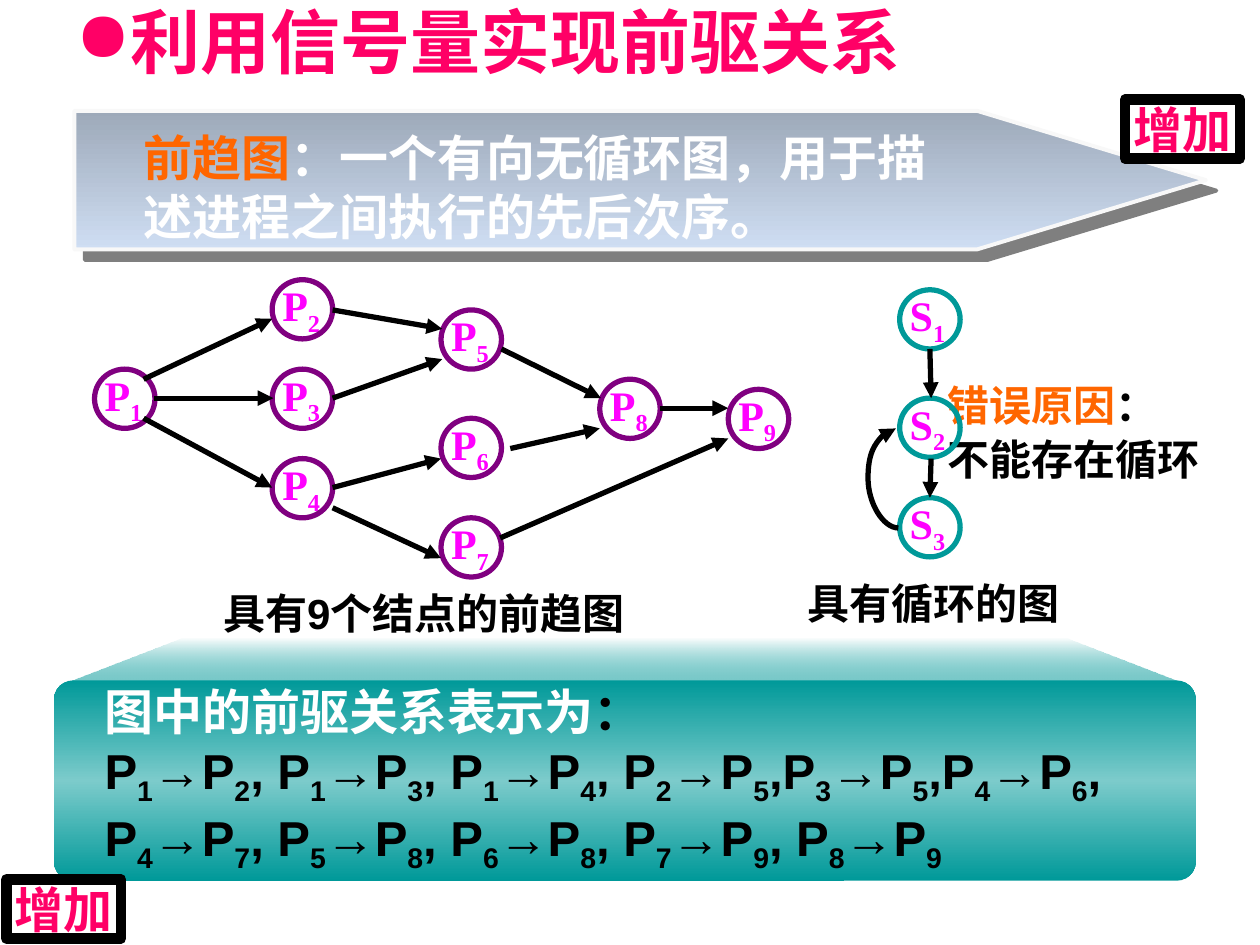
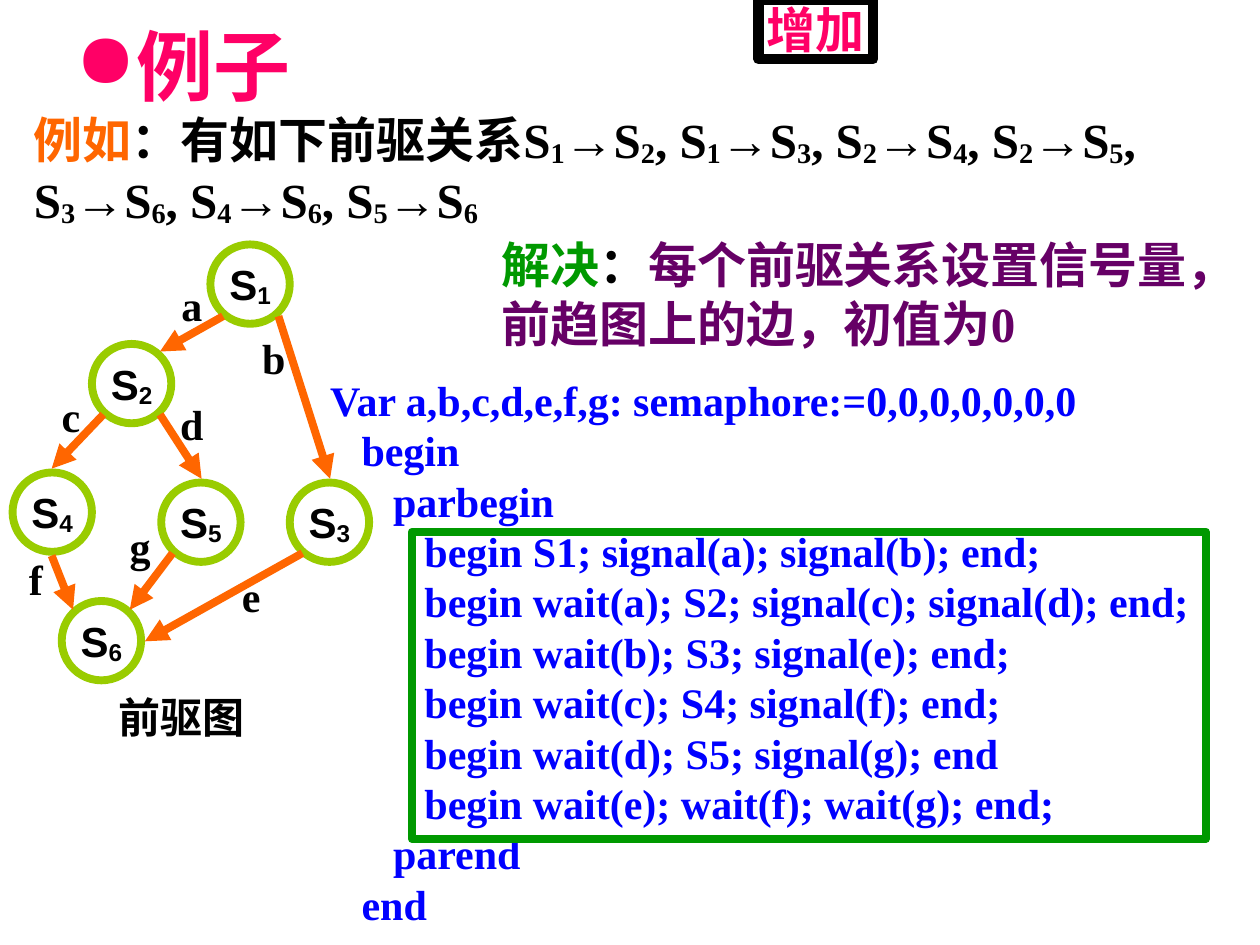
from dataclasses import dataclass

from lxml import etree
from pptx import Presentation
from pptx.dml.color import RGBColor
from pptx.enum.shapes import MSO_CONNECTOR as Connector, MSO_SHAPE as Shape
from pptx.enum.text import MSO_ANCHOR as Anchor, PP_ALIGN as Align
from pptx.oxml.ns import qn
from pptx.util import Inches, Pt


@dataclass(frozen=True)
class Theme:
    pink: str = "FF0066"
    orange: str = "FF6600"
    magenta: str = "FF00FF"
    purple: str = "800080"
    plum: str = "660066"
    teal: str = "009999"
    lime: str = "99CC00"
    green: str = "009900"
    blue: str = "0000FF"
    black: str = "000000"
    white: str = "FFFFFF"
    banner_edge: str = "F8F8F8"
    sans: str = "Arial"
    serif: str = "Times New Roman"
    badge_font: str = "Montserrat"
    heading: int = 28
    body: int = 24
    low_subscript: int = -25
    high_subscript: int = -10


THEME = Theme()


def add_element(parent, tag, **attributes):
    return etree.SubElement(parent, qn(tag), {key: str(value) for key, value in attributes.items()})


def add_colour(parent, colour, alpha=100):
    element = add_element(parent, "a:srgbClr", val=colour)
    if alpha < 100:
        add_element(element, "a:alpha", val=alpha * 1000)


def add_runs(paragraph, text, colour, baseline):
    """Add text in which the character after each underscore is a subscript."""
    first, *rest = text.split("_")
    pieces = [(first, False)]
    for part in rest:
        pieces += [(part[0], True), (part[1:], False)]
    for piece, is_subscript in pieces:
        if not piece:
            continue
        run = paragraph.add_run()
        run.text = piece
        run.font.color.rgb = RGBColor.from_string(colour)
        if is_subscript:
            run.font._element.set("baseline", str(baseline * 1000))


def write(shape, paragraphs, size, font, baseline=THEME.low_subscript, align=Align.LEFT,
          anchor=Anchor.TOP, wrap=True, line_height=None, space_before=0):
    """Fill a shape; each paragraph is a list of (text, colour) pairs."""
    frame = shape.text_frame
    frame.word_wrap = wrap
    frame.vertical_anchor = anchor
    frame.margin_left = frame.margin_right = frame.margin_top = frame.margin_bottom = 0
    for index, parts in enumerate(paragraphs):
        paragraph = frame.add_paragraph() if index else frame.paragraphs[0]
        paragraph.alignment = align
        if line_height:
            paragraph.line_spacing = Pt(line_height)
        if index and space_before:
            paragraph.space_before = Pt(space_before)
        paragraph.font.size = Pt(size)
        paragraph.font.name = font
        paragraph.font.bold = True
        for text, colour in parts:
            add_runs(paragraph, text, colour, baseline)


def add_text(slide, box, paragraphs, size=THEME.body, font=THEME.sans, **options):
    shape = slide.shapes.add_textbox(*map(Inches, box))
    write(shape, paragraphs, size, font, **options)
    return shape


def add_label(slide, left, top, text, width=0.31, colour=THEME.black, font=THEME.serif):
    add_text(slide, (left, top, width, 0.4), [[(text, colour)]], font=font, wrap=False)


def add_title(slide, text, height, size):
    shape = slide.shapes.add_textbox(*map(Inches, (0.5, 0, 9, height)))
    frame = shape.text_frame
    frame.word_wrap = True
    frame.vertical_anchor = Anchor.MIDDLE
    paragraph = frame.paragraphs[0]
    properties = paragraph._p.get_or_add_pPr()
    add_colour(add_element(properties, "a:buClr"), THEME.pink)
    add_element(properties, "a:buChar", char="●")
    paragraph.font.size = Pt(size)
    paragraph.font.name = THEME.sans
    paragraph.font.bold = True
    add_runs(paragraph, text, THEME.pink, 0)


def style(shape, line=None, width=0):
    """Leave a shape unfilled and unshadowed, with an optional outline."""
    shape.shadow.inherit = False
    shape.fill.background()
    if line:
        shape.line.color.rgb = RGBColor.from_string(line)
        shape.line.width = Pt(width)
    else:
        shape.line.fill.background()
    return shape


def add_outline(slide, kind, box, line=None, width=0):
    return style(slide.shapes.add_shape(kind, *map(Inches, box)), line, width)


def fill_downwards(shape, stops):
    """Apply a vertical gradient of (position, colour, alpha) stops."""
    properties = shape._element.spPr
    empty_fill = properties.find(qn("a:noFill"))
    gradient = etree.Element(qn("a:gradFill"), rotWithShape="1")
    stop_list = add_element(gradient, "a:gsLst")
    for position, colour, alpha in stops:
        add_colour(add_element(stop_list, "a:gs", pos=position * 1000), colour, alpha)
    add_element(gradient, "a:lin", ang=90 * 60000, scaled=0)
    properties.replace(empty_fill, gradient)


def add_arrow(slide, start, end, colour=THEME.black, width=3, kind=Connector.STRAIGHT):
    arrow = slide.shapes.add_connector(kind, *map(Inches, (*start, *end)))
    arrow.line.color.rgb = RGBColor.from_string(colour)
    arrow.line.width = Pt(width)
    add_element(arrow.line._get_or_add_ln(), "a:tailEnd", type="triangle")
    add_element(arrow._element.spPr, "a:effectLst")
    return arrow


def add_loop_arrow(slide, top_left, bottom_right, bend):
    """Curve from the bottom right up to the top left, bulging left by bend widths."""
    arrow = add_arrow(slide, top_left, bottom_right, kind=Connector.CURVE)
    properties = arrow._element.spPr
    properties.find(qn("a:xfrm")).set("rot", str(180 * 60000))
    guides = properties.find(qn("a:prstGeom")).find(qn("a:avLst"))
    add_element(guides, "a:gd", name="adj1", fmla=f"val {round(bend * 100000)}")


def add_badge(slide, left, top):
    badge = add_outline(slide, Shape.RECTANGLE, (left, top, 0.91, 0.47), THEME.black, 6)
    write(badge, [[("增加", THEME.pink)]], THEME.heading, THEME.badge_font, align=Align.CENTER)


def add_process_node(slide, left, top, name, line):
    add_label(slide, left + 0.08, top, name, colour=THEME.magenta)
    add_outline(slide, Shape.OVAL, (left, top, 0.48, 0.47), line, 3)


def add_statement_node(slide, left, top, name):
    node = add_outline(slide, Shape.OVAL, (left, top, 0.63, 0.63), THEME.lime, 4.5)
    write(node, [[(name, THEME.black)]], THEME.body, THEME.sans, wrap=False,
          baseline=THEME.high_subscript, align=Align.CENTER, anchor=Anchor.MIDDLE)


def add_banner(slide):
    banner = add_outline(slide, Shape.PENTAGON, (0.59, 0.88, 8.98, 1.1), THEME.banner_edge, 2.25)
    banner.adjustments[0] = 1.651
    fill_downwards(banner, [(0, "9DA9B9", 100), (100, "CFDEF3", 100)])
    effects = banner._element.spPr.find(qn("a:effectLst"))
    shadow = add_element(effects, "a:outerShdw", blurRad=0, dist=Pt(8.5), dir=45 * 60000,
                         algn="ctr", rotWithShape=0)
    add_colour(shadow, THEME.black, 50)
    add_text(slide, (1.14, 1.01, 6.3, 0.93),
             [[("前趋图", THEME.orange),
               ("：一个有向无循环图，用于描述进程之间执行的先后次序。", THEME.white)]],
             THEME.heading)


def add_relation_panel(slide):
    builder = slide.shapes.build_freeform(Inches(0.56), Inches(5.4))
    corners = [(1.44, 5.07), (8.47, 5.07), (9.35, 5.4)]
    builder.add_line_segments([(Inches(x), Inches(y)) for x, y in corners])
    fill_downwards(style(builder.convert_to_shape()),
                   [(0, THEME.teal, 0), (100, "74C7C7", 100)])

    panel = add_outline(slide, Shape.ROUNDED_RECTANGLE, (0.43, 5.4, 9.06, 1.59))
    panel.adjustments[0] = 0.095
    fill_downwards(panel, [(0, THEME.teal, 100), (50, "7CCBCB", 100), (100, THEME.teal, 100)])
    add_text(slide, (0.83, 5.41, 8.43, 1.4), [
        [("图中的前驱关系表示为", THEME.white), ("：", THEME.black)],
        [("P_1→P_2, P_1→P_3, P_1→P_4, P_2→P_5,P_3→P_5,P_4→P_6,", THEME.black)],
        [("P_4→P_7, P_5→P_8, P_6→P_8, P_7→P_9, P_8→P_9", THEME.black)],
    ], THEME.heading)


def build_precedence_slide(slide):
    add_title(slide, "利用信号量实现前驱关系", 0.65, 40)
    add_text(slide, (7.52, 3.01, 2.48, 0.84),
             [[("错误原因", THEME.orange), ("：", THEME.black)],
              [("不能存在循环", THEME.black)]], space_before=2.4)
    add_banner(slide)
    add_relation_panel(slide)

    processes = [(0.75, 2.93), (2.16, 2.22), (2.16, 2.93), (2.16, 3.64), (3.5, 2.46),
                 (3.5, 3.32), (3.5, 4.11), (4.76, 3.01), (5.78, 3.09)]
    for number, (left, top) in enumerate(processes, 1):
        add_process_node(slide, left, top, f"P_{number}", THEME.purple)
    for number, top in enumerate((2.3, 3.16, 3.95), 1):
        add_process_node(slide, 7.14, top, f"S_{number}", THEME.teal)

    edges = [
        ((7.38, 2.77), (7.39, 3.16)), ((7.39, 3.64), (7.38, 3.95)),
        ((1.22, 3.16), (2.17, 3.16)), ((1.14, 3.01), (2.16, 2.53)),
        ((1.14, 3.32), (2.16, 3.87)), ((2.64, 2.46), (3.51, 2.61)),
        ((2.64, 3.16), (3.51, 2.85)), ((2.64, 3.87), (3.5, 3.64)),
        ((4.05, 3.56), (4.76, 3.4)), ((3.98, 2.77), (4.77, 3.16)),
        ((5.24, 3.24), (5.78, 3.24)), ((2.64, 4.03), (3.5, 4.43)),
        ((3.97, 4.27), (5.78, 3.48)),
    ]
    for start, end in edges:
        add_arrow(slide, start, end)
    add_loop_arrow(slide, (7.11, 3.4), (7.13, 4.19), 12)

    add_label(slide, 1.77, 4.66, "具有9个结点的前趋图", 3.62, font=THEME.sans)
    add_label(slide, 6.41, 4.58, "具有循环的图", 2.52, font=THEME.sans)
    add_badge(slide, 0.05, 6.98)
    add_badge(slide, 8.93, 0.79)


SEMAPHORE_CODE = """\
Var a,b,c,d,e,f,g: semaphore:=0,0,0,0,0,0,0
   begin
      parbegin
         begin S1; signal(a); signal(b); end;
         begin wait(a); S2; signal(c); signal(d); end;
         begin wait(b); S3; signal(e); end;
         begin wait(c); S4; signal(f); end;
         begin wait(d); S5; signal(g); end
         begin wait(e); wait(f); wait(g); end;
      parend
   end"""


def build_example_slide(slide):
    add_title(slide, "例子", 1.03, 44)
    relations = "S_1→S_2, S_1→S_3, S_2→S_4, S_2→S_5, S_3→S_6, S_4→S_6, S_5→S_6"
    add_text(slide, (0.27, 0.87, 9.57, 0.93),
             [[("例如", THEME.orange), ("：有如下前驱关系" + relations, THEME.black)]],
             THEME.heading, THEME.serif, baseline=THEME.high_subscript)

    statements = [(1.67, 1.94), (0.73, 2.73), (2.3, 3.83), (0.1, 3.75), (1.28, 3.83),
                  (0.49, 4.77)]
    for number, (left, top) in enumerate(statements, 1):
        add_statement_node(slide, left, top, f"S_{number}")

    semaphores = [
        ("a", (1.44, 2.22), (1.77, 2.51), (1.27, 2.79)),
        ("b", (2.08, 2.64), (2.21, 2.51), (2.62, 3.8)),
        ("c", (0.49, 3.1), (0.82, 3.29), (0.41, 3.72)),
        ("d", (1.43, 3.16), (1.27, 3.29), (1.6, 3.8)),
        ("e", (1.92, 4.53), (2.4, 4.39), (1.15, 5.09)),
        ("f", (0.23, 4.39), (0.41, 4.41), (0.58, 4.84)),
        ("g", (1.03, 4.13), (1.37, 4.39), (1.03, 4.84)),
    ]
    for name, position, start, end in semaphores:
        add_arrow(slide, start, end, THEME.orange, 4.5)
        add_label(slide, *position, name, 0.24)
    add_label(slide, 0.94, 5.49, "前驱图", 2.08)

    add_text(slide, (3.98, 1.86, 5.75, 0.93),
             [[("解决", THEME.green), ("：", THEME.black),
               ("每个前驱关系设置信号量，前趋图上的边，初值为0", THEME.plum)]],
             THEME.heading, THEME.serif)
    add_text(slide, (2.62, 2.97, 6.94, 4.39),
             [[(line, THEME.blue)] for line in SEMAPHORE_CODE.splitlines()],
             font=THEME.serif, line_height=28.8)
    add_outline(slide, Shape.RECTANGLE, (3.27, 4.22, 6.3, 2.44), THEME.green, 4.5)
    add_badge(slide, 6.02, 0)


def main():
    presentation = Presentation()
    presentation.slide_width = Inches(10)
    presentation.slide_height = Inches(7.5)
    blank_layout = presentation.slide_layouts[6]
    for build in (build_precedence_slide, build_example_slide):
        build(presentation.slides.add_slide(blank_layout))
    presentation.save("out.pptx")


if __name__ == "__main__":
    main()
